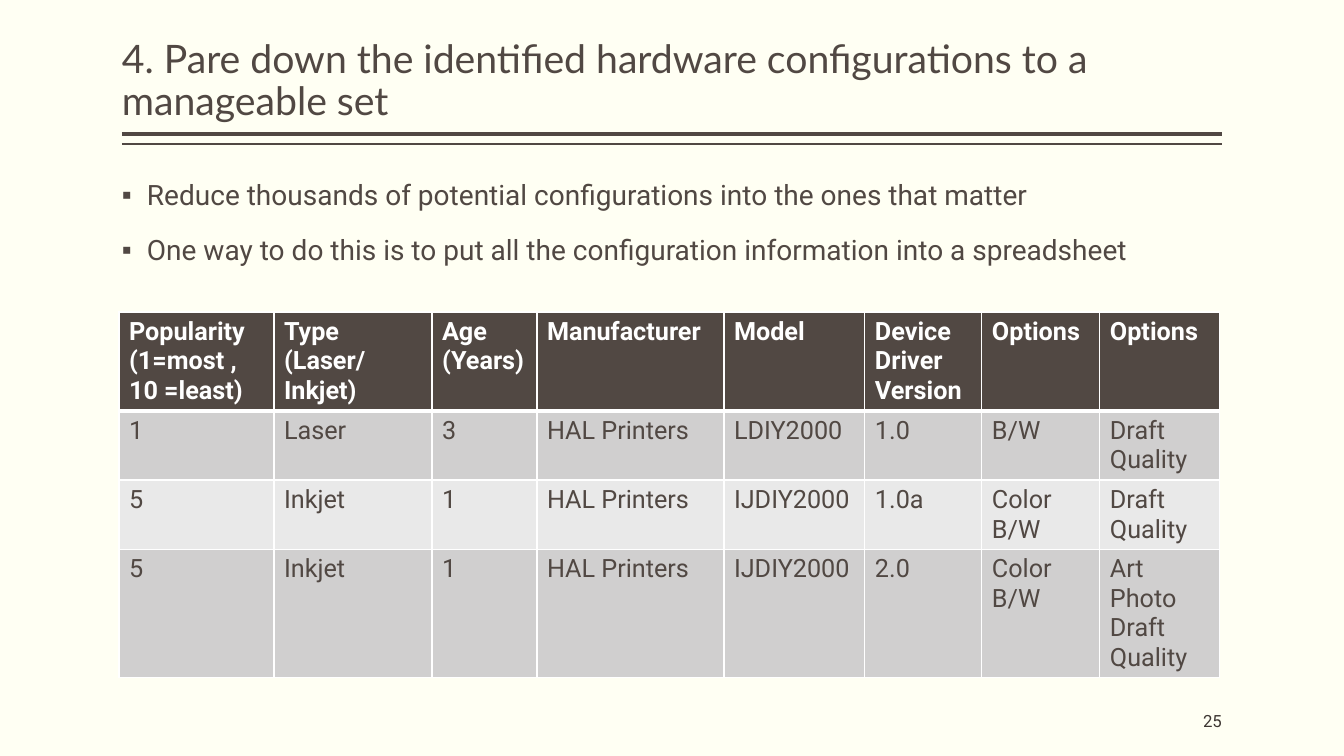
from lxml import etree
from pptx import Presentation
from pptx.dml.color import RGBColor
from pptx.enum.shapes import MSO_CONNECTOR
from pptx.enum.text import MSO_ANCHOR, MSO_AUTO_SIZE, PP_ALIGN
from pptx.oxml.ns import qn
from pptx.util import Pt

STRAIGHT = MSO_CONNECTOR.STRAIGHT
TOP, MIDDLE, BOTTOM = MSO_ANCHOR.TOP, MSO_ANCHOR.MIDDLE, MSO_ANCHOR.BOTTOM
LEFT, RIGHT, JUSTIFY = PP_ALIGN.LEFT, PP_ALIGN.RIGHT, PP_ALIGN.JUSTIFY
NO_FIT = MSO_AUTO_SIZE.NONE
PX = 914400 / 100.8
TITLE_ONLY = 5

COLORS = {
    "background": "FFFFF3",
    "brown": "514843",
    "number": "3D3632",
    "white": "FFFFFF",
    "odd_row": "D0CFCF",
    "even_row": "E9E9E9",
}
TITLE = "4. Pare down the identified hardware configurations to a manageable set"
BULLETS = [
    "Reduce thousands of potential configurations into the ones that matter",
    "One way to do this is to put all the configuration information into a spreadsheet",
]
COLUMN_WIDTHS = [155, 158, 105, 187, 141, 117, 118, 120]
ROW_HEIGHTS = [98, 69, 69, 128]
PRINTERS = [
    ["Popularity\n(1=most , 10 =least)", "Type (Laser/ Inkjet)", "Age (Years)", "Manufacturer",
     "Model", "Device Driver Version", "Options", "Options"],
    ["1", "Laser", "3", "HAL Printers", "LDIY2000", "1.0", "B/W", "Draft Quality"],
    ["5", "Inkjet", "1", "HAL Printers", "IJDIY2000", "1.0a", "Color B/W", "Draft Quality"],
    ["5", "Inkjet", "1", "HAL Printers", "IJDIY2000", "2.0", "Color B/W", "Art Photo Draft Quality"],
]


def px(length):
    """Turn px into EMU."""
    return round(length * PX)


def color(name):
    """Look up a named colour."""
    return RGBColor.from_string(COLORS[name])


def place(shape, box):
    """Move a shape to a left, top, width, height box."""
    shape.left, shape.top, shape.width, shape.height = map(px, box)


def style_runs(frame, font, size, color_name, bold=False):
    """Format every run of a text frame."""
    for para in frame.paragraphs:
        for span in para.runs:
            span.font.name = font
            span.font.size = Pt(size)
            span.font.bold = bold
            span.font.color.rgb = color(color_name)


def fill_frame(shape, text, anchor, align):
    """Write text in a wrapping frame without side margins."""
    frame = shape.text_frame
    frame.word_wrap = True
    frame.auto_size = NO_FIT
    frame.vertical_anchor = anchor
    frame.margin_left = frame.margin_right = 0
    frame.margin_top = frame.margin_bottom = px(5)
    frame.text = text
    for para in frame.paragraphs:
        para.alignment = align
    return frame


def add_heading(slide, box):
    """Place the title with a thick and a thin rule beneath it."""
    left, top, width, height = box
    title = slide.shapes.title
    place(title, box)
    frame = fill_frame(title, TITLE, BOTTOM, LEFT)
    frame.paragraphs[0].line_spacing = 0.9
    style_runs(frame, "Lato", 28, "brown")
    for gap, weight in ((5, 3), (15, 1)):
        y = px(top + height + gap)
        rule = slide.shapes.add_connector(STRAIGHT, px(left), y, px(left + width), y)
        rule.line.color.rgb = color("brown")
        rule.line.width = Pt(weight)
        etree.SubElement(rule._element.spPr, qn("a:effectLst"))


def add_bullets(slide, box):
    """Place the bulleted list."""
    body = slide.shapes.add_textbox(*map(px, box))
    frame = fill_frame(body, "\n".join(BULLETS), TOP, JUSTIFY)
    for index, para in enumerate(frame.paragraphs):
        properties = para._p.get_or_add_pPr()
        properties.set("marL", str(px(25)))
        properties.set("indent", str(px(-25)))
        etree.SubElement(properties, qn("a:buFont"), typeface="Arial")
        etree.SubElement(properties, qn("a:buChar"), char="▪")
        para.line_spacing = 0.9
        para.space_before = Pt(18 if index else 0)
    style_runs(frame, "Roboto", 20, "brown")


def add_borders(cell, weights):
    """Give a cell white borders with a weight in points for each side."""
    properties = cell._tc.get_or_add_tcPr()
    for side, weight in weights.items():
        line = etree.SubElement(properties, qn(f"a:ln{side}"), w=str(Pt(weight)))
        fill = etree.SubElement(line, qn("a:solidFill"))
        etree.SubElement(fill, qn("a:srgbClr"), val=COLORS["white"])


def add_printer_table(slide, box):
    """Place the table of printer configurations."""
    frame = slide.shapes.add_table(len(PRINTERS), len(COLUMN_WIDTHS), *map(px, box))
    table = frame.table
    for column, width in zip(table.columns, COLUMN_WIDTHS):
        column.width = px(width)
    for index, (row, height) in enumerate(zip(table.rows, ROW_HEIGHTS)):
        row.height = px(height)
        header = index == 0
        fill = "brown" if header else "odd_row" if index % 2 else "even_row"
        weights = {"L": 1, "R": 1, "T": 3 if index == 1 else 1, "B": 3 if header else 1}
        for cell, text in zip(row.cells, PRINTERS[index]):
            add_borders(cell, weights)
            cell.fill.solid()
            cell.fill.fore_color.rgb = color(fill)
            cell.text_frame.text = text
            style_runs(cell.text_frame, "Roboto", 18, "white" if header else "brown", header)


def add_page_number(slide, box):
    """Place the page number."""
    frame = fill_frame(slide.shapes.add_textbox(*map(px, box)), "25", MIDDLE, RIGHT)
    style_runs(frame, "Roboto", 12, "number")


def main():
    """Build and save the deck."""
    deck = Presentation()
    deck.slide_width, deck.slide_height = px(1344), px(756)
    page = deck.slides.add_slide(deck.slide_layouts[TITLE_ONLY])
    page.background.fill.solid()
    page.background.fill.fore_color.rgb = color("background")
    add_heading(page, (122, 8, 1100, 121))
    add_bullets(page, (122, 176, 1100, 504))
    add_printer_table(page, (119, 312, sum(COLUMN_WIDTHS), sum(ROW_HEIGHTS)))
    add_page_number(page, (1020, 701, 202, 40))
    deck.save("out.pptx")


if __name__ == "__main__":
    main()
